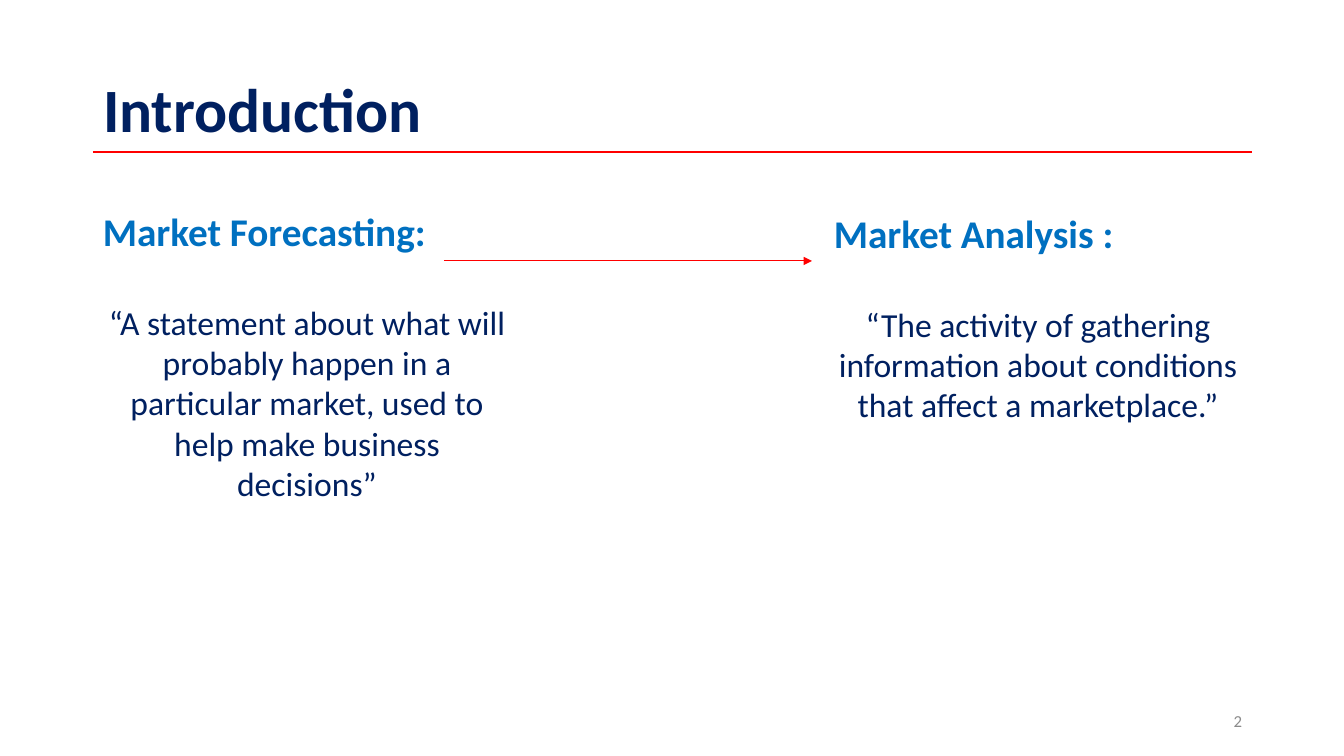
import dataclasses

import pptx
import pptx.dml.color
import pptx.enum.shapes
import pptx.enum.text
import pptx.oxml
import pptx.oxml.ns
import pptx.util

SCALE = 914400 / 100.8
ALIGN = pptx.enum.text.PP_ALIGN
ANCHOR = pptx.enum.text.MSO_ANCHOR


@dataclasses.dataclass(frozen=True)
class Theme:
    """Colours, font and type sizes of the slide."""
    font: str = "Calibri"
    navy: str = "002060"
    blue: str = "0070C0"
    red: str = "FF0000"
    grey: str = "8B8B8B"
    title: int = 44
    heading: int = 28
    body: int = 24
    number: int = 12
    heading_gap: int = 34


THEME = Theme()


def px(n):
    """Turn pixels into EMU."""
    return pptx.util.Emu(round(n * SCALE))


def rgb(code):
    """Turn a hex code into a colour."""
    return pptx.dml.color.RGBColor.from_string(code)


def write(p, text, size, color, bold=False, align=ALIGN.LEFT):
    """Put formatted text into a paragraph."""
    p.text = text
    p.alignment = align
    for r in p.runs:
        r.font.name = THEME.font
        r.font.size = pptx.util.Pt(size)
        r.font.bold = bold
        r.font.color.rgb = rgb(color)


def add_text(s, box, anchor=ANCHOR.TOP):
    """Add a wrapping text box and return its text frame."""
    tf = s.shapes.add_textbox(*map(px, box)).text_frame
    tf.word_wrap = True
    tf.vertical_anchor = anchor
    return tf


def add_line(s, x1, x2, y, width, arrow=False):
    """Draw a horizontal red line, with an arrowhead if asked."""
    kind = pptx.enum.shapes.MSO_CONNECTOR.STRAIGHT
    sp = s.shapes.add_connector(kind, px(x1), px(y), px(x2), px(y))
    sp.line.color.rgb = rgb(THEME.red)
    sp.line.width = pptx.util.Pt(width)
    qn = pptx.oxml.ns.qn
    pr = sp._element.spPr
    if arrow:
        tail = pr.find(qn("a:ln")).makeelement(qn("a:tailEnd"), {"type": "triangle"})
        pr.find(qn("a:ln")).append(tail)
    pr.append(pr.makeelement(qn("a:effectLst"), {}))


def add_title(s, box, text):
    """Place the title in its box with a rule near the lower edge."""
    x, y, w, h = box
    sp = s.shapes.title
    sp.left, sp.top, sp.width, sp.height = map(px, box)
    tf = sp.text_frame
    tf.auto_size = pptx.enum.text.MSO_AUTO_SIZE.NONE
    tf.vertical_anchor = ANCHOR.MIDDLE
    p = tf.paragraphs[0]
    write(p, text, THEME.title, THEME.navy, bold=True)
    p.line_spacing = 0.9
    add_line(s, x, x + w, y + h - 34, 1.25)


def add_definition(s, box, term, meaning):
    """Place a term with its centred definition below."""
    tf = add_text(s, box)
    write(tf.paragraphs[0], term, THEME.heading, THEME.blue, bold=True)
    p = tf.add_paragraph()
    write(p, meaning, THEME.body, THEME.navy, align=ALIGN.CENTER)
    p.space_before = pptx.util.Pt(THEME.heading_gap)


def add_number(s, box, number):
    """Place the slide number at the right of its box."""
    tf = add_text(s, box, ANCHOR.MIDDLE)
    write(tf.paragraphs[0], number, THEME.number, THEME.grey, align=ALIGN.RIGHT)


def main():
    """Build the slide and save it."""
    prs = pptx.Presentation()
    prs.slide_width, prs.slide_height = px(1344), px(756)
    s = prs.slides.add_slide(prs.slide_layouts[5])
    left, width, column = 93, 1159, 428
    right = left + width
    add_title(s, (left, 40, width, 146), "Introduction")
    add_definition(
        s, (left, 202, column, 480), "Market Forecasting:",
        "“A statement about what will probably happen in a particular market, "
        "used to help make business decisions”")
    add_definition(
        s, (right - column, 204, column, 480), "Market Analysis :",
        "“The activity of gathering information about conditions "
        "that affect a marketplace.”")
    add_line(s, 444, 812, 261, 0.75, arrow=True)
    add_number(s, (right - 302, 701, 302, 40), "2")
    prs.save("out.pptx")


if __name__ == "__main__":
    main()
